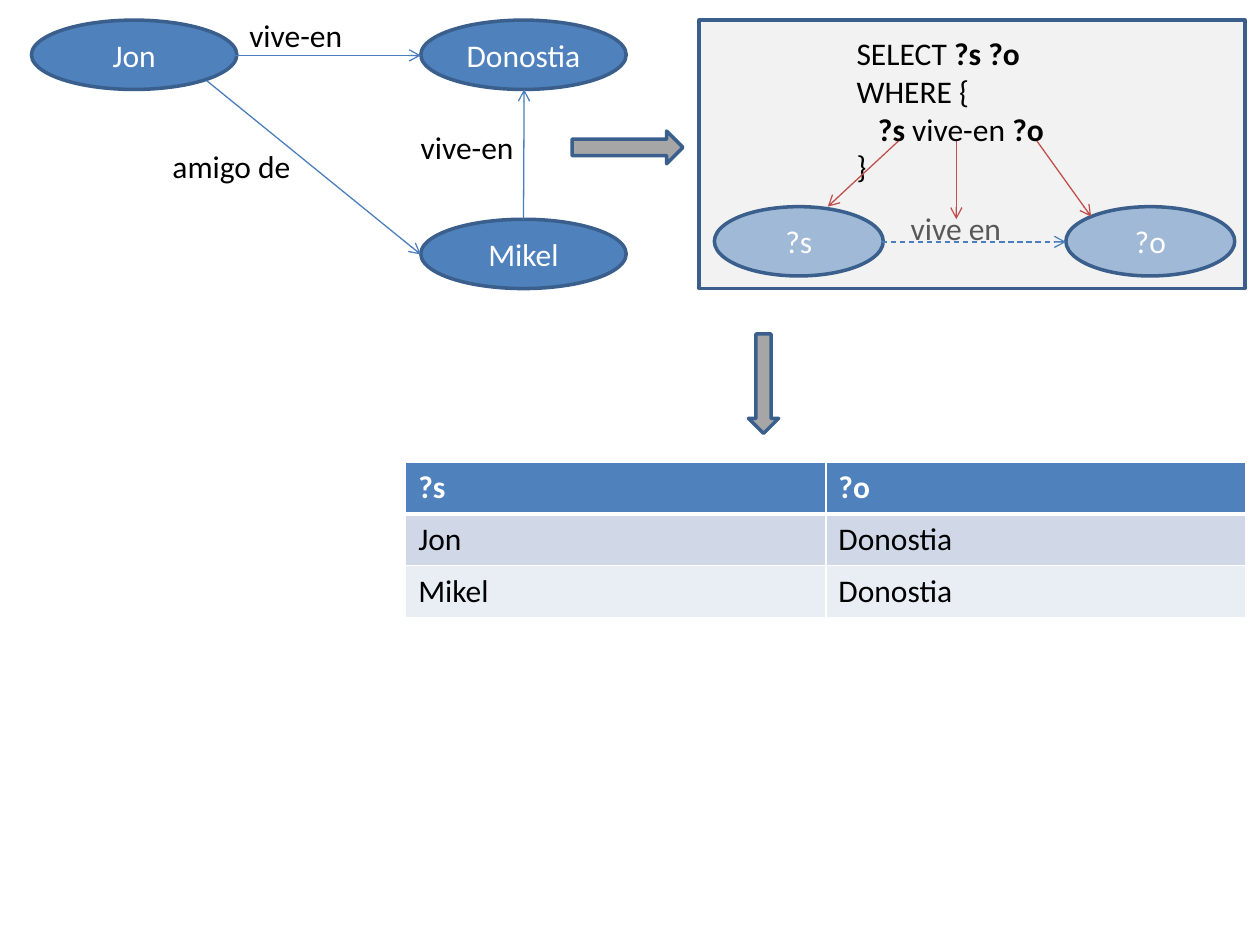
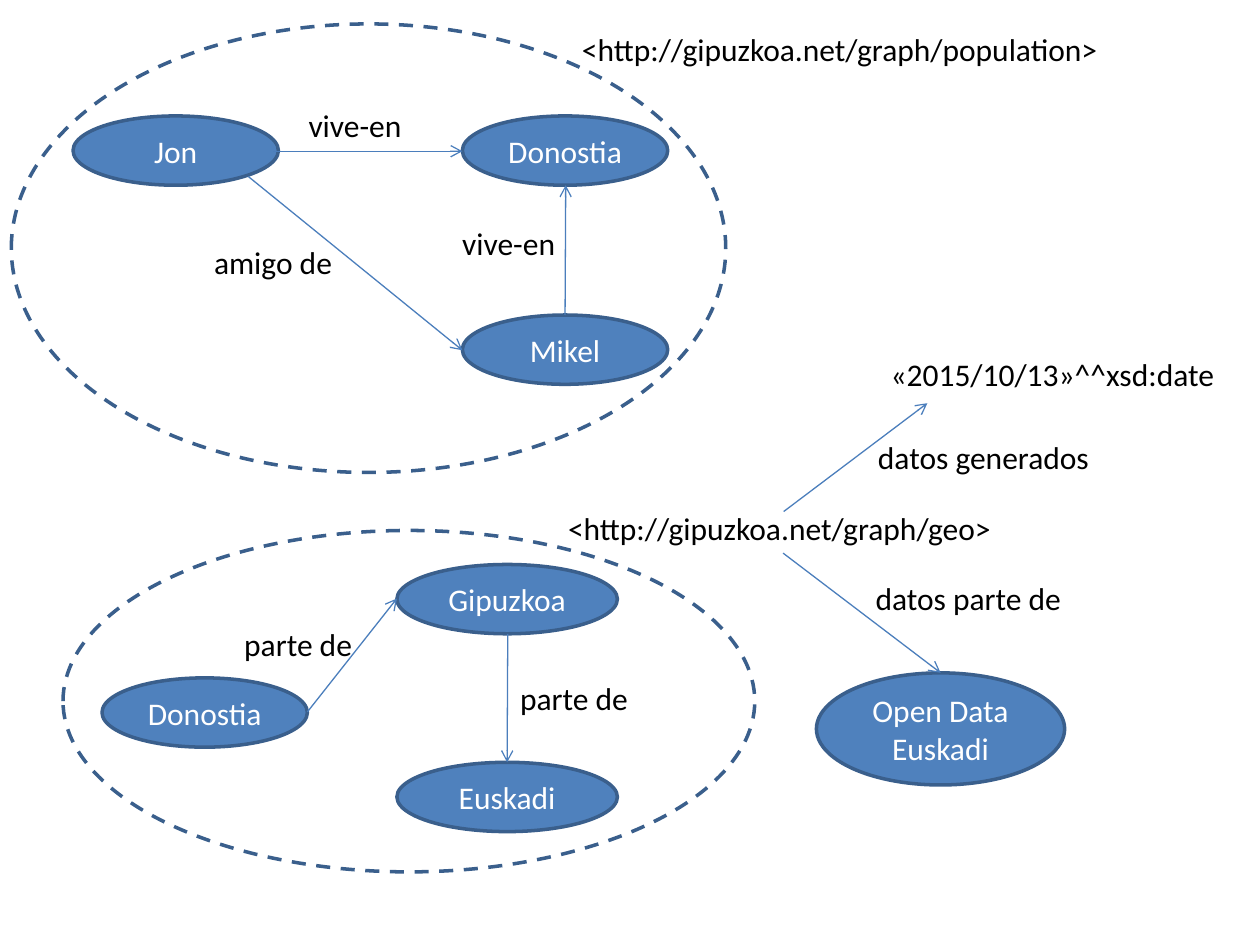
from dataclasses import dataclass

from lxml import etree
from pptx import Presentation
from pptx.dml.color import RGBColor
from pptx.enum.dml import MSO_LINE
from pptx.enum.shapes import MSO_CONNECTOR, MSO_SHAPE
from pptx.enum.text import MSO_ANCHOR, MSO_AUTO_SIZE, PP_ALIGN
from pptx.oxml.ns import qn
from pptx.util import Inches, Pt

OVAL, RECT = MSO_SHAPE.OVAL, MSO_SHAPE.RECTANGLE
RIGHT, DOWN = MSO_SHAPE.RIGHT_ARROW, MSO_SHAPE.DOWN_ARROW
STRAIGHT, DASH = MSO_CONNECTOR.STRAIGHT, MSO_LINE.DASH
CENTER, LEFT = PP_ALIGN.CENTER, PP_ALIGN.LEFT
MIDDLE, TOP = MSO_ANCHOR.MIDDLE, MSO_ANCHOR.TOP
GROW = MSO_AUTO_SIZE.SHAPE_TO_FIT_TEXT
BLANK = 6
NODE_W, NODE_H = 1.63, 0.55


@dataclass(frozen=True)
class Theme:
    font: str = "Calibri"
    size: int = 18
    edge: float = 2
    thin: float = 0.75
    blue: str = "4F81BD"
    navy: str = "3A5F8C"
    link: str = "4B7EBC"
    red: str = "C0504D"
    gray: str = "808080"
    block: str = "A6A6A6"
    faint: str = "595959"
    ink: str = "000000"
    white: str = "FFFFFF"
    bands: tuple = ("D0D8E8", "E9EDF4")


def rgb(code):
    return RGBColor.from_string(code)


def write(frame, text, color, align=LEFT, anchor=TOP, bold=False, theme=Theme()):
    """Fill a frame; text is a string or a list of lines made of (words, bold) runs."""
    lines = [[(text, bold)]] if isinstance(text, str) else text
    frame.vertical_anchor = anchor
    for i, line in enumerate(lines):
        para = frame.add_paragraph() if i else frame.paragraphs[0]
        para.alignment = align
        for words, heavy in line:
            run = para.add_run()
            run.text = words
            font = run.font
            font.name, font.size, font.bold = theme.font, Pt(theme.size), heavy
            font.color.rgb = rgb(color)


class Deck:
    def __init__(self, theme):
        self.theme = theme
        self.prs = Presentation()
        self.prs.slide_width, self.prs.slide_height = Inches(10), Inches(7.5)
        self.slide = None

    def start(self):
        self.slide = self.prs.slides.add_slide(self.prs.slide_layouts[BLANK])

    def shape(self, kind, x, y, w, h, fill=None, alpha=None, dash=None):
        form = self.slide.shapes.add_shape(kind, Inches(x), Inches(y), Inches(w), Inches(h))
        form.shadow.inherit = False
        form.line.color.rgb = rgb(self.theme.navy)
        form.line.width = Pt(self.theme.edge)
        if dash:
            form.line.dash_style = dash
        if fill:
            form.fill.solid()
            form.fill.fore_color.rgb = rgb(fill)
        else:
            form.fill.background()
        if alpha:
            tint = form._element.spPr.find(qn("a:solidFill"))[0]
            etree.SubElement(tint, qn("a:alpha"), val=str(alpha * 1000))
        return form

    def node(self, text, x, y, w=NODE_W, h=NODE_H, alpha=None):
        oval = self.shape(OVAL, x, y, w, h, self.theme.blue, alpha)
        write(oval.text_frame, text, self.theme.white, align=CENTER, anchor=MIDDLE)
        return oval

    def label(self, text, x, y, w, h=0.4, color=None, wrap=False):
        box = self.slide.shapes.add_textbox(Inches(x), Inches(y), Inches(w), Inches(h))
        box.text_frame.word_wrap = wrap
        box.text_frame.auto_size = GROW
        write(box.text_frame, text, color or self.theme.ink)
        return box

    def arrow(self, x1, y1, x2, y2, color=None, dash=None, begin=None, end=None):
        """Draw an arrow; begin and end are (shape, side) pairs to join."""
        line = self.slide.shapes.add_connector(
            STRAIGHT, Inches(x1), Inches(y1), Inches(x2), Inches(y2))
        if begin:
            line.begin_connect(*begin)
        if end:
            line.end_connect(*end)
        line.line.color.rgb = rgb(color or self.theme.link)
        line.line.width = Pt(self.theme.thin)
        if dash:
            line.line.dash_style = dash
        props = line._element.spPr
        etree.SubElement(props.find(qn("a:ln")), qn("a:tailEnd"), type="arrow")
        etree.SubElement(props, qn("a:effectLst"))

    def border(self, cell, base):
        props = cell._tc.get_or_add_tcPr()
        for side, width in (("L", 1), ("R", 1), ("T", 1), ("B", base)):
            line = etree.SubElement(props, qn(f"a:ln{side}"), w=str(Pt(width)))
            fill = etree.SubElement(line, qn("a:solidFill"))
            etree.SubElement(fill, qn("a:srgbClr"), val=self.theme.white)

    def table(self, rows, x, y, w, row_h):
        theme = self.theme
        grid = self.slide.shapes.add_table(
            len(rows), len(rows[0]), Inches(x), Inches(y),
            Inches(w), Inches(row_h * len(rows))).table
        for r, row in enumerate(rows):
            head = r == 0
            for c, text in enumerate(row):
                cell = grid.cell(r, c)
                self.border(cell, 3 if head else 1)
                cell.fill.solid()
                cell.fill.fore_color.rgb = rgb(theme.blue if head else theme.bands[(r - 1) % 2])
                write(cell.text_frame, text, theme.white if head else theme.ink, bold=head)

    def people(self, x, y, live):
        """Draw the Jon, Donostia, Mikel graph; live places its upper label."""
        self.node("Jon", x, y)
        self.node("Donostia", x + 3.09, y)
        mikel = self.node("Mikel", x + 3.09, y + 1.58)
        self.arrow(x + 1.59, y + 0.28, x + 3.09, y + 0.28)
        self.arrow(x + 3.91, y + 1.58, x + 3.91, y + 0.55, begin=(mikel, 0))
        self.arrow(x + 1.39, y + 0.48, x + 3.09, y + 1.86)
        self.label("vive-en", *live, 0.95)
        self.label("vive-en", x + 2.99, y + 0.81, 0.95)
        self.label("amigo de", x + 1.02, y + 0.96, 1.15)


def query(deck):
    theme = deck.theme
    deck.start()
    deck.shape(RECT, 5.55, 0.16, 4.33, 2.13, theme.gray, alpha=10)
    deck.people(0.25, 0.16, live=(1.88, 0.08))
    deck.label([
        [("SELECT ", False), ("?s ?o", True)],
        [("WHERE {", False)],
        [("   ", False), ("?s ", True), ("vive-en ", False), ("?o", True)],
        [("}", False)],
    ], 6.7, 0.22, 1.93, 1.31, wrap=True)
    deck.shape(RIGHT, 4.54, 1.04, 0.88, 0.26, theme.block)
    for name, x in (("?s", 5.67), ("?o", 8.46)):
        deck.node(name, x, 1.64, w=1.34, alpha=50)
    deck.arrow(7, 1.92, 8.46, 1.92, dash=DASH)
    deck.label("vive en", 7.13, 1.61, 0.93, color=theme.faint)
    for x1, x2, y2 in ((7.13, 6.57, 1.64), (7.59, 7.59, 1.74), (8.23, 8.66, 1.72)):
        deck.arrow(x1, 1.12, x2, y2, color=theme.red)
    deck.shape(DOWN, 5.94, 2.65, 0.24, 0.79, theme.block)
    deck.table([("?s", "?o"), ("Jon", "Donostia"), ("Mikel", "Donostia")],
               3.22, 3.67, 6.67, 0.41)


def graphs(deck):
    deck.start()
    deck.people(0.58, 0.92, live=(2.35, 0.79))
    deck.shape(OVAL, 0.09, 0.19, 5.67, 3.56, dash=DASH)
    deck.label("<http://gipuzkoa.net/graph/population>", 4.52, 0.19, 4.35)

    deck.node("Donostia", 0.81, 5.38)
    deck.node("Gipuzkoa", 3.15, 4.48, w=1.75)
    region = deck.node("Euskadi", 3.15, 6.05, w=1.75)
    deck.arrow(2.44, 5.65, 3.15, 4.75)
    deck.arrow(4.03, 5.03, 4.03, 6.05, end=(region, 0))
    deck.label("parte de", 1.84, 4.91, 1.07)
    deck.label("parte de", 4.03, 5.34, 1.07)
    deck.shape(OVAL, 0.5, 4.21, 5.49, 2.71, dash=DASH)

    geo = deck.label("<http://gipuzkoa.net/graph/geo>", 4.41, 3.99, 3.61)
    portal = deck.node("Open Data Euskadi", 6.48, 5.34, w=1.97, h=0.89)
    deck.arrow(6.22, 4.39, 7.46, 5.34, begin=(geo, 2), end=(portal, 0))
    deck.label("datos parte de", 6.85, 4.55, 1.69)
    deck.arrow(6.22, 4.06, 7.36, 3.2)
    deck.label("«2015/10/13»^^xsd:date", 6.97, 2.77, 2.8)
    deck.label("datos generados", 6.87, 3.43, 1.9)


def main():
    deck = Deck(Theme())
    query(deck)
    graphs(deck)
    deck.prs.save("out.pptx")


if __name__ == "__main__":
    main()
